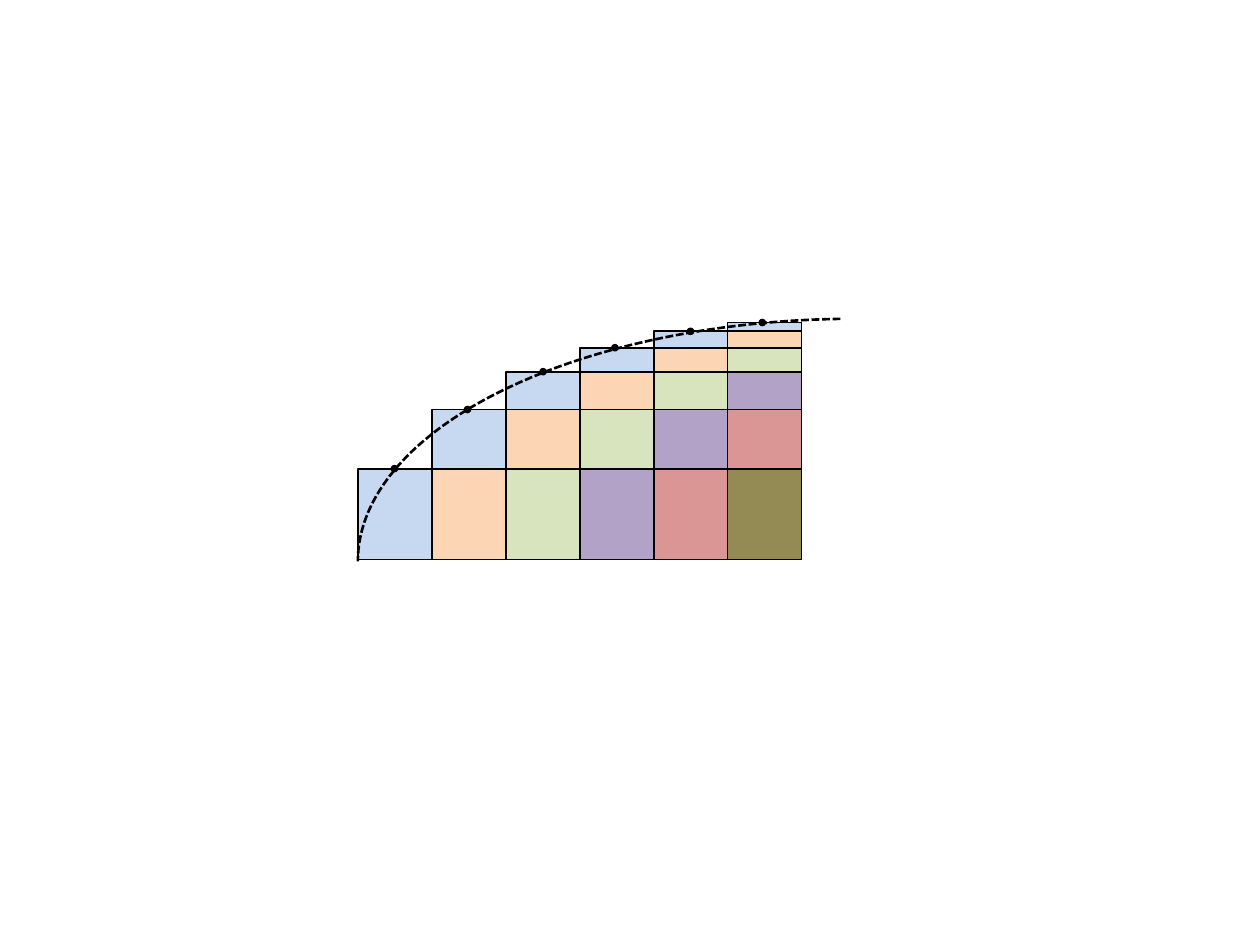
from dataclasses import dataclass
from itertools import pairwise

from pptx import Presentation
from pptx.dml.color import RGBColor
from pptx.enum.dml import MSO_LINE
from pptx.enum.shapes import MSO_SHAPE
from pptx.oxml.ns import qn
from pptx.shapes.autoshape import Shape
from pptx.slide import Slide
from pptx.util import Inches, Pt

RECTANGLE, ELLIPSE, ARC = MSO_SHAPE.RECTANGLE, MSO_SHAPE.OVAL, MSO_SHAPE.ARC
SHORT_DASH = MSO_LINE.SQUARE_DOT

BLACK = RGBColor(0x00, 0x00, 0x00)
BLUE = RGBColor(0xC6, 0xD9, 0xF1)
ORANGE = RGBColor(0xFC, 0xD5, 0xB5)
GREEN = RGBColor(0xD7, 0xE4, 0xBD)
PURPLE = RGBColor(0xB3, 0xA2, 0xC7)
RED = RGBColor(0xD9, 0x96, 0x94)
OLIVE = RGBColor(0x94, 0x8A, 0x54)
DIAGONAL_COLORS = (BLUE, ORANGE, GREEN, PURPLE, RED, OLIVE)

GRID_LEFT = 2.84
COLUMN_WIDTH = 0.587
# Row boundaries from the baseline up to the top of the last step
LEVELS = (4.44, 3.72, 3.25, 2.95, 2.76, 2.63, 2.56)
DOT_CENTERS = (3.13, 3.71, 4.31, 4.88, 5.48, 6.05)
DOT_SIZE = 0.05
ARC_START = 164.23


@dataclass(frozen=True)
class Box:
    left: float
    top: float
    width: float
    height: float


def add_outlined(slide: Slide, kind: MSO_SHAPE, box: Box,
                 fill: RGBColor | None, line_format: dict) -> Shape:
    shape = slide.shapes.add_shape(
        kind, Inches(box.left), Inches(box.top), Inches(box.width), Inches(box.height))
    shape.shadow.inherit = False
    if fill is None:
        shape.fill.background()
    else:
        shape.fill.solid()
        shape.fill.fore_color.rgb = fill
    shape.line.color.rgb = BLACK
    for attribute, value in line_format.items():
        setattr(shape.line, attribute, value)
    return shape


def add_steps(slide: Slide) -> None:
    """Each column is one row taller than the last; colours follow the diagonals."""
    rows = list(pairwise(LEVELS))
    for column in range(len(rows)):
        left = GRID_LEFT + column * COLUMN_WIDTH
        for row, (bottom, top) in enumerate(rows[:column + 1]):
            add_outlined(slide, RECTANGLE, Box(left, top, COLUMN_WIDTH, bottom - top),
                         DIAGONAL_COLORS[column - row], {"width": Pt(1)})


def add_curve(slide: Slide) -> None:
    curve = add_outlined(slide, ARC, Box(GRID_LEFT, 2.53, 7.91, 3.85), None,
                         {"width": Pt(1.5), "dash_style": SHORT_DASH})
    curve.adjustments[0] = ARC_START
    curve.element.spPr.find(qn("a:xfrm")).set("flipH", "1")


def add_dots(slide: Slide) -> None:
    for center, level in zip(DOT_CENTERS, LEVELS[1:]):
        box = Box(center - DOT_SIZE / 2, level - DOT_SIZE / 2, DOT_SIZE, DOT_SIZE)
        add_outlined(slide, ELLIPSE, box, BLACK, {"width": Pt(0.75)})


def main() -> None:
    presentation = Presentation()
    presentation.slide_width = Inches(10)
    presentation.slide_height = Inches(7.5)
    slide = presentation.slides.add_slide(presentation.slide_layouts[6])
    add_steps(slide)
    add_curve(slide)
    add_dots(slide)
    presentation.save("out.pptx")


if __name__ == "__main__":
    main()
